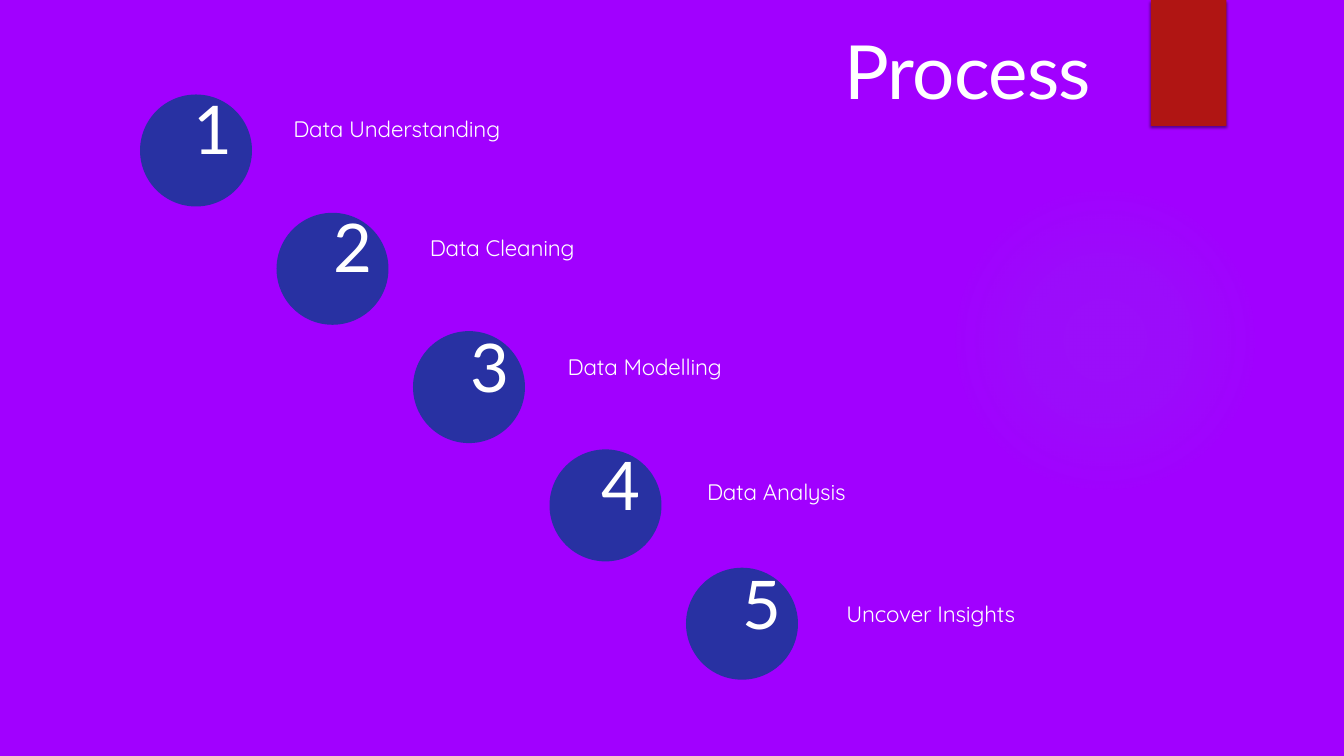
from lxml import etree
from pptx import Presentation
from pptx.dml.color import RGBColor
from pptx.enum.shapes import MSO_SHAPE
from pptx.enum.text import MSO_ANCHOR, MSO_AUTO_SIZE, PP_ALIGN
from pptx.oxml import parse_xml
from pptx.oxml.ns import nsdecls, qn
from pptx.util import Pt

PX = 9525
STEPS = [
    ("Data Understanding", (276, 144), (419, 168)),
    ("Data Cleaning", (476, 313), (614, 338)),
    ("Data Modelling", (672, 484), (811, 507)),
    ("Data Analysis", (860, 652), (1010, 686)),
    ("Uncover Insights", (1061, 822), (1209, 860)),
]


def px(*lengths):
    return [n * PX for n in lengths]


def color(value):
    return RGBColor.from_string(value)


def write(tf, text, font="Lato", size=24, leading=24, tracking=0, align=PP_ALIGN.LEFT):
    tf.margin_left = tf.margin_right = tf.margin_top = tf.margin_bottom = 0
    tf.word_wrap = True
    tf.auto_size = MSO_AUTO_SIZE.NONE
    tf.vertical_anchor = MSO_ANCHOR.TOP
    p = tf.paragraphs[0]
    p.alignment = align
    p.line_spacing = Pt(leading)
    p.space_before = Pt(0)
    r = p.add_run()
    r.text = text
    r.font.name = font
    r.font.size = Pt(size)
    r.font.color.rgb = color("FFFFFF")
    r.font._element.set("spc", str(tracking))


def add_title(s, text, left, top, width, height):
    sp = s.shapes.title
    sp.left, sp.top, sp.width, sp.height = px(left, top, width, height)
    write(sp.text_frame, text, size=80, leading=96, tracking=-80, align=PP_ALIGN.RIGHT)


def add_text(s, text, left, top, width, height, **style):
    sp = s.shapes.add_textbox(*px(left, top, width, height))
    write(sp.text_frame, text, **style)


def add_solid(s, kind, left, top, width, height, fill):
    sp = s.shapes.add_shape(kind, *px(left, top, width, height))
    sp.shadow.inherit = False
    sp.fill.solid()
    sp.fill.fore_color.rgb = color(fill)
    sp.line.fill.background()
    return sp


def add_glow(s, left, top, size, tint, stops):
    sp = add_solid(s, MSO_SHAPE.OVAL, left, top, size, size, tint)
    stop_xml = "".join(
        f'<a:gs pos="{pos * 1000}"><a:srgbClr val="{tint}">'
        f'<a:alpha val="{alpha * 1000}"/></a:srgbClr></a:gs>'
        for pos, alpha in stops
    )
    gradient = parse_xml(
        f'<a:gradFill {nsdecls("a")}><a:gsLst>{stop_xml}</a:gsLst>'
        '<a:path path="circle"><a:fillToRect l="50000" t="50000" r="50000" b="50000"/>'
        "</a:path></a:gradFill>"
    )
    solid = sp._element.spPr.find(qn("a:solidFill"))
    solid.getparent().replace(solid, gradient)


def add_drop_shadow(sp, blur, distance, alpha):
    effects = sp._element.spPr.find(qn("a:effectLst"))
    shadow = etree.SubElement(
        effects, qn("a:outerShdw"), blurRad=str(Pt(blur)), dist=str(Pt(distance)),
        dir="5400000", algn="ctr", rotWithShape="0",
    )
    black = etree.SubElement(shadow, qn("a:srgbClr"), val="000000")
    etree.SubElement(black, qn("a:alpha"), val=str(alpha * 1000))


def add_step(s, index, label, number_at, label_at):
    add_solid(s, MSO_SHAPE.OVAL, 200 + 195 * index, 135 + 169 * index, 160, 160, "2831A2")
    add_text(s, str(index + 1), *number_at, 129, 100, size=71.9, leading=71.9, tracking=-640)
    add_text(s, label, *label_at, 360, 36, font="Quicksand", leading=26.6, tracking=-20)


def main():
    prs = Presentation()
    prs.slide_width, prs.slide_height = px(1920, 1080)
    s = prs.slides.add_slide(prs.slide_layouts[5])
    s.background.fill.solid()
    s.background.fill.fore_color.rgb = color("A100FF")

    add_glow(s, 1356, 264, 444, "50B9C1", [(0, 7), (36, 6), (69, 0)])
    ribbon = add_solid(s, MSO_SHAPE.RECTANGLE, 1644, 0, 108, 180, "B01513")
    add_drop_shadow(ribbon, blur=3, distance=2, alpha=45)
    add_title(s, "Process", 1110, 35, 449, 130)
    for index, step in enumerate(STEPS):
        add_step(s, index, *step)

    prs.save("out.pptx")


if __name__ == "__main__":
    main()
